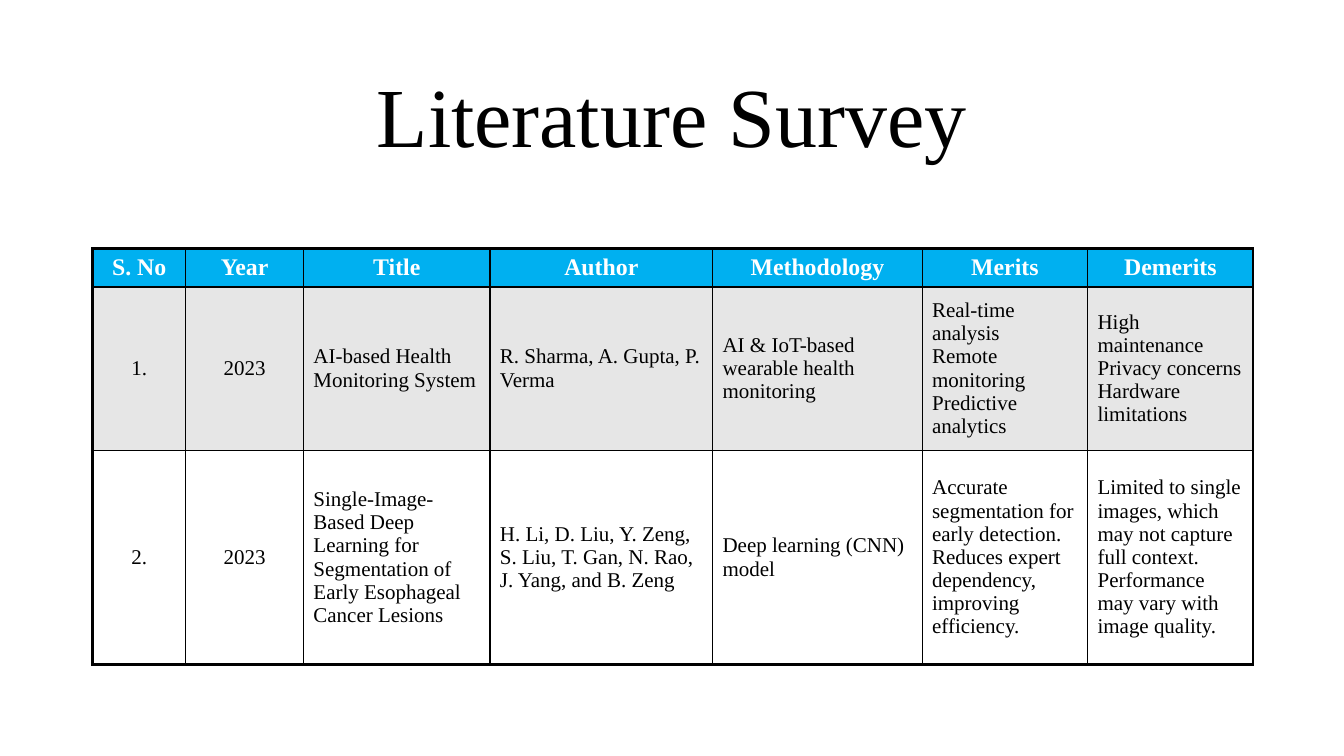
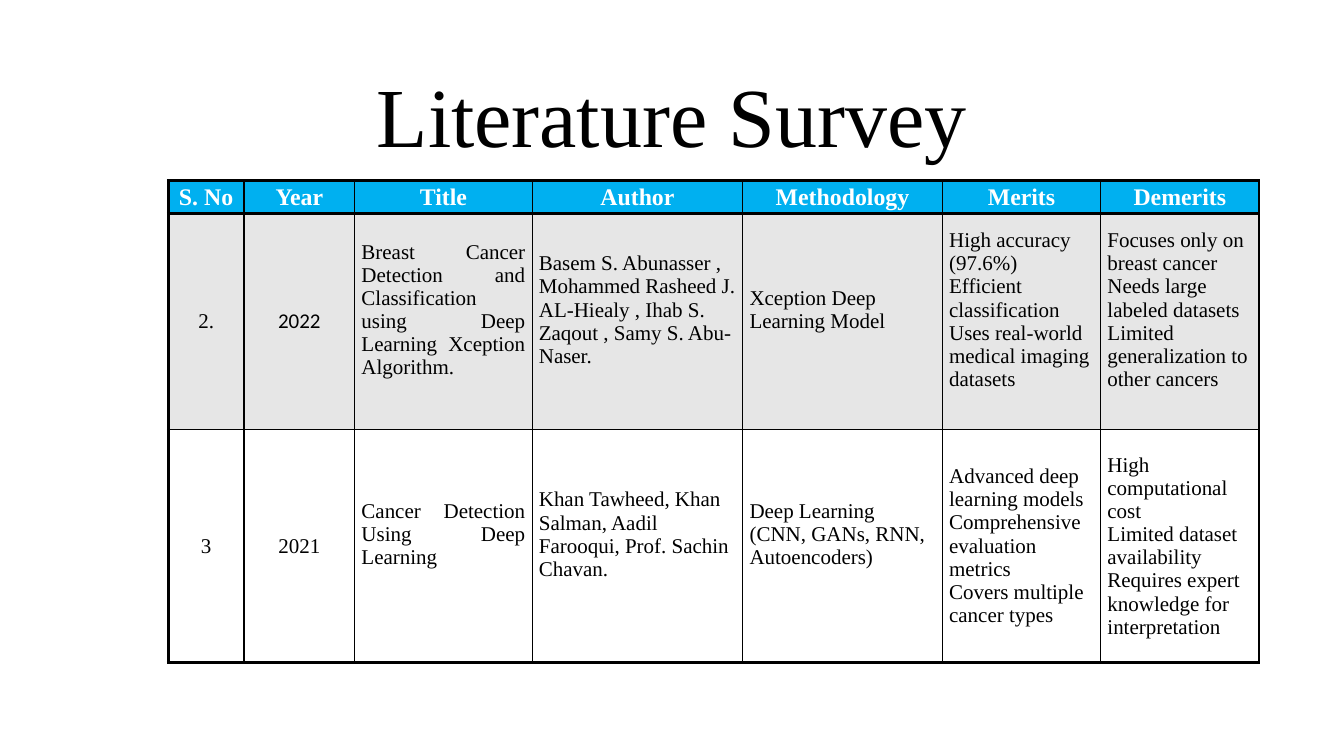
from lxml.etree import SubElement
from pptx import Presentation
from pptx.dml.color import RGBColor
from pptx.enum.text import MSO_ANCHOR as Anchor, MSO_AUTO_SIZE as AutoSize, PP_ALIGN as Align
from pptx.oxml.ns import qn
from pptx.util import Cm, Pt

# Shared style
SERIF = "Times New Roman"
BLACK, WHITE, BLUE, GREY = "000000", "FFFFFF", "00B0F0", "E6E6E6"
HEADINGS = ["S. No", "Year", "Title", "Author", "Methodology", "Merits", "Demerits"]
ROW_FILLS = [BLUE, GREY, WHITE]
ROW_RULES = [2.25, 2, 0.75, 2.25]  # points, from the top edge to the bottom edge
COLUMN_RULES = [2.25] + [1] * 6 + [2.25]
TITLE_COLUMN = HEADINGS.index("Title")
LINE_HEIGHT = 0.58  # one line of body text, in cm

# Content and geometry of each survey table, lengths in cm
SURVEYS = [
    dict(
        left=2.34, top=6.27, inset_x=0.25, inset_y=0.13,
        widths=[2.34, 2.97, 4.7, 5.61, 5.28, 4.17, 4.17],
        heights=[0.96, 4.11, 5.41],
        title_align=Align.LEFT, fonts={}, raised=[],
        studies=[
            ["1.", "2023", "AI-based Health Monitoring System",
             "R. Sharma, A. Gupta, P. Verma",
             "AI & IoT-based wearable health monitoring",
             "Real-time analysis\nRemote monitoring\nPredictive analytics",
             "High maintenance\nPrivacy concerns\nHardware limitations"],
            ["2.", "2023",
             "Single-Image-Based Deep Learning for Segmentation of Early "
             "Esophageal Cancer Lesions",
             "H. Li, D. Liu, Y. Zeng, S. Liu, T. Gan, N. Rao, J. Yang, and B. Zeng",
             "Deep learning (CNN) model",
             "Accurate segmentation for early detection.\n"
             "Reduces expert dependency, improving efficiency.",
             "Limited to single images, which may not capture full context.\n"
             "Performance may vary with image quality."],
        ],
    ),
    dict(
        left=4.24, top=4.55, inset_x=0.17, inset_y=0.08,
        widths=[1.91, 2.79, 4.47, 5.31, 5.03, 3.99, 3.99],
        heights=[0.83, 5.44, 5.88],
        title_align=Align.JUSTIFY, fonts={(1, 1): "Calibri"},
        # Cells whose text sits half a line above the middle
        raised=[(1, 2), (1, 3), (1, 4), (1, 5), (1, 6), (2, 2), (2, 3), (2, 4)],
        studies=[
            ["2.", "2022",
             "Breast Cancer Detection and Classification using Deep Learning "
             "Xception Algorithm.",
             "Basem S. Abunasser , Mohammed Rasheed J. AL-Hiealy , "
             "Ihab S. Zaqout , Samy S. Abu-Naser.",
             "Xception Deep Learning Model",
             "High accuracy (97.6%)\nEfficient classification\n"
             "Uses real-world medical imaging datasets",
             "Focuses only on breast cancer\nNeeds large labeled datasets\n"
             "Limited generalization to other cancers"],
            ["3", "2021", "Cancer Detection Using Deep Learning",
             "Khan Tawheed, Khan Salman, Aadil Farooqui, Prof. Sachin Chavan.",
             "Deep Learning (CNN, GANs, RNN, Autoencoders)",
             "Advanced deep learning models\nComprehensive evaluation metrics\n"
             "Covers multiple cancer types",
             "High computational cost\nLimited dataset availability\n"
             "Requires expert knowledge for interpretation"],
        ],
    ),
]


def write(frame, text, size=15, font=SERIF, color=BLACK, bold=False,
          align=Align.LEFT, spacing=1.0):
    """Fill a text frame, one paragraph for each line of text."""
    frame.text = text
    frame.word_wrap = True
    for para in frame.paragraphs:
        para.alignment = align
        para.line_spacing = spacing
        for span in para.runs:
            span.font.size = Pt(size)
            span.font.name = font
            span.font.bold = bold
            span.font.color.rgb = RGBColor.from_string(color)


def add_border(cell, side, points):
    """Draw one solid black cell edge; side is L, R, T or B."""
    line = SubElement(cell._tc.get_or_add_tcPr(), qn(f"a:ln{side}"), w=str(Pt(points)))
    SubElement(SubElement(line, qn("a:solidFill")), qn("a:srgbClr"), val=BLACK)


deck = Presentation()
deck.slide_width, deck.slide_height = Cm(33.87), Cm(19.05)

for survey in SURVEYS:
    page = deck.slides.add_slide(deck.slide_layouts[5])

    # Title
    title = page.shapes.title
    title.left, title.top, title.width, title.height = Cm(4.23), Cm(1.7), Cm(25.4), Cm(2.64)
    write(title.text_frame, "Literature Survey", size=60, align=Align.CENTER, spacing=0.9)
    title.text_frame.auto_size = AutoSize.NONE
    title.text_frame.vertical_anchor = Anchor.MIDDLE

    # Table grid
    rows = [HEADINGS] + survey["studies"]
    widths, heights = survey["widths"], survey["heights"]
    table = page.shapes.add_table(
        len(rows), len(HEADINGS), Cm(survey["left"]), Cm(survey["top"]),
        Cm(sum(widths)), Cm(sum(heights))).table
    table.horz_banding = False
    for column, width in zip(table.columns, widths):
        column.width = Cm(width)
    for row, height in zip(table.rows, heights):
        row.height = Cm(height)

    # Cells
    for r, texts in enumerate(rows):
        for c, text in enumerate(texts):
            cell = table.cell(r, c)
            header = r == 0
            if header or c < TITLE_COLUMN:
                align = Align.CENTER
            else:
                align = survey["title_align"] if c == TITLE_COLUMN else Align.LEFT
            write(cell.text_frame, text, size=17 if header else 15, bold=header,
                  color=WHITE if header else BLACK, align=align,
                  font=survey["fonts"].get((r, c), SERIF))

            lift = LINE_HEIGHT if (r, c) in survey["raised"] else 0
            cell.vertical_anchor = Anchor.MIDDLE
            cell.margin_left = cell.margin_right = Cm(survey["inset_x"])
            cell.margin_top = Cm(survey["inset_y"])
            cell.margin_bottom = Cm(survey["inset_y"] + lift)

            # Borders come before the fill in the cell properties
            add_border(cell, "L", COLUMN_RULES[c])
            add_border(cell, "R", COLUMN_RULES[c + 1])
            add_border(cell, "T", ROW_RULES[r])
            add_border(cell, "B", ROW_RULES[r + 1])
            cell.fill.solid()
            cell.fill.fore_color.rgb = RGBColor.from_string(ROW_FILLS[r])

deck.save("out.pptx")
